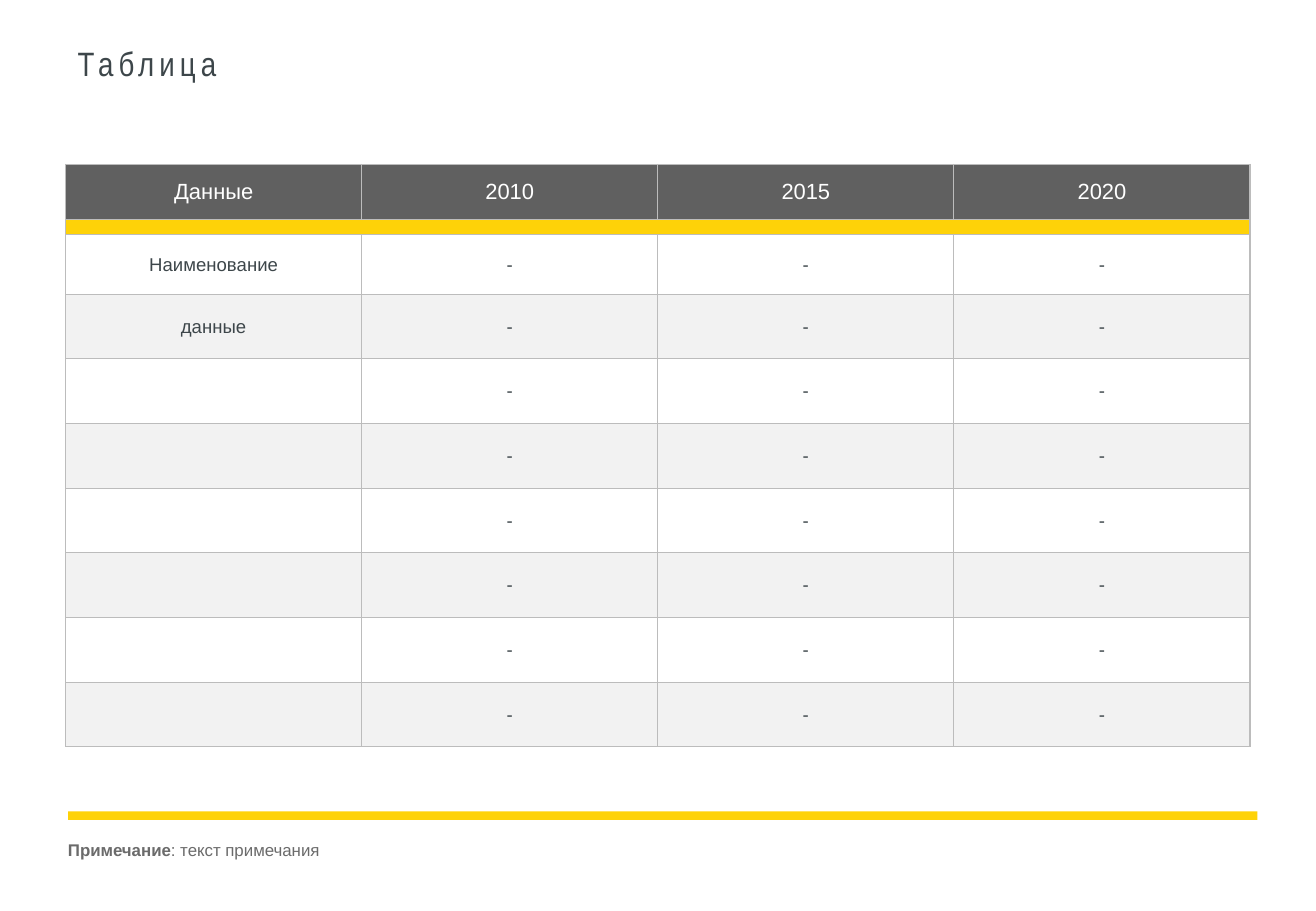
from lxml import etree
from pptx import Presentation
from pptx.dml.color import RGBColor
from pptx.enum.shapes import MSO_SHAPE
from pptx.enum.text import MSO_ANCHOR, PP_ALIGN
from pptx.oxml.ns import qn
from pptx.util import Pt

CENTER, LEFT = PP_ALIGN.CENTER, PP_ALIGN.LEFT
MIDDLE = MSO_ANCHOR.MIDDLE
RECTANGLE = MSO_SHAPE.RECTANGLE

# Content
TITLE = "Таблица"
HEADER = ["Данные", "2010", "2015", "2020"]
ROW_LABELS = ["Наименование", "данные", "", "", "", "", "", ""]
NO_VALUE = "-"
NOTE = [("Примечание", True), (": текст примечания", False)]

COLORS = {"header": "606060", "accent": "FED208", "white": "FFFFFF",
          "stripe": "F2F2F2", "border": "BCBCBC", "text": "3D464A",
          "note": "6B6B6B"}

# Layout, in points
TABLE_LEFT, TABLE_TOP, COLUMN_WIDTH = 38.9, 97.4, 175.5
ROW_HEIGHTS = [32.5, 9.4, 35.2] + [38.35] * 7
TITLE_BOX = (40.3, 13.7, 642.2, 46.8)
NOTE_BOX = (40.3, 497.5, 727.2, 12.2)
RULE_BOX = (40.3, 481, 705, 5)
NOTE_INDENT = 65.5


def color(name):
    return RGBColor.from_string(COLORS[name])


def paint(filled, name):
    filled.fill.solid()
    filled.fill.fore_color.rgb = color(name)


def style_run(run, size, color_name, font="Arial", bold=False):
    run.font.name = font
    run.font.size = Pt(size)
    run.font.bold = bold
    run.font.color.rgb = color(color_name)


def set_insets(frame, inset):
    frame.margin_left = frame.margin_right = Pt(inset)
    frame.margin_top = frame.margin_bottom = Pt(inset)
    frame.vertical_anchor = MIDDLE
    frame.word_wrap = True


def add_borders(cell):
    properties = cell._tc.get_or_add_tcPr()
    for position, side in enumerate(("lnL", "lnR", "lnT", "lnB")):
        line = etree.Element(qn(f"a:{side}"), w=str(Pt(0.75)))
        fill = etree.SubElement(line, qn("a:solidFill"))
        etree.SubElement(fill, qn("a:srgbClr"), val=COLORS["border"])
        properties.insert(position, line)


def fill_cell(cell, text, size, text_color, fill_color):
    paint(cell, fill_color)
    add_borders(cell)
    cell.vertical_anchor = MIDDLE
    cell.text_frame.text = text
    paragraph = cell.text_frame.paragraphs[0]
    paragraph.alignment = CENTER
    for run in paragraph.runs:
        style_run(run, size, text_color)
    if not text:
        # Keeps the empty line from stretching its row
        etree.SubElement(paragraph._p, qn("a:endParaRPr"), sz=str(size * 100))
    return paragraph


prs = Presentation()
prs.slide_width, prs.slide_height = Pt(780), Pt(540)
slide = prs.slides.add_slide(prs.slide_layouts[5])
shapes = slide.shapes

# Title
title = shapes.title
title.left, title.top, title.width, title.height = map(Pt, TITLE_BOX)
title.text_frame.text = TITLE
set_insets(title.text_frame, 5.76)
title_paragraph = title.text_frame.paragraphs[0]
title_paragraph.alignment = LEFT
title_run = title_paragraph.runs[0]
style_run(title_run, 20, "text", "Arial Narrow")
title_run._r.get_or_add_rPr().set("spc", "300")

# Table
table = shapes.add_table(
    len(ROW_HEIGHTS), len(HEADER), Pt(TABLE_LEFT), Pt(TABLE_TOP),
    Pt(COLUMN_WIDTH * len(HEADER)), Pt(sum(ROW_HEIGHTS))).table
table.first_row = table.horz_banding = False
for column in table.columns:
    column.width = Pt(COLUMN_WIDTH)
for row, height in zip(table.rows, ROW_HEIGHTS):
    row.height = Pt(height)

# Header and accent band
for index, heading in enumerate(HEADER):
    heading_paragraph = fill_cell(table.cell(0, index), heading, 13, "white", "header")
    heading_paragraph.space_before = Pt(2.6)
    band = table.cell(1, index)
    fill_cell(band, "", 1, "text", "accent")
    band.margin_top = band.margin_bottom = 0
table.cell(1, 0).merge(table.cell(1, len(HEADER) - 1))

# Striped data rows
for index, label in enumerate(ROW_LABELS):
    stripe = "stripe" if index % 2 else "white"
    values = [label] + [NO_VALUE] * (len(HEADER) - 1)
    for column_index, value in enumerate(values):
        fill_cell(table.cell(index + 2, column_index), value, 11, "text", stripe)

# Note with hanging indent
note = shapes.add_textbox(*map(Pt, NOTE_BOX))
set_insets(note.text_frame, 0)
note_paragraph = note.text_frame.paragraphs[0]
for text, bold in NOTE:
    note_run = note_paragraph.add_run()
    note_run.text = text
    style_run(note_run, 10, "note", bold=bold)
note_properties = note_paragraph._p.get_or_add_pPr()
note_properties.set("marL", str(Pt(NOTE_INDENT)))
note_properties.set("indent", str(-Pt(NOTE_INDENT)))

# Rule above the note
rule = shapes.add_shape(RECTANGLE, *map(Pt, RULE_BOX))
rule.shadow.inherit = False
paint(rule, "accent")
rule.line.fill.background()

prs.save("out.pptx")
